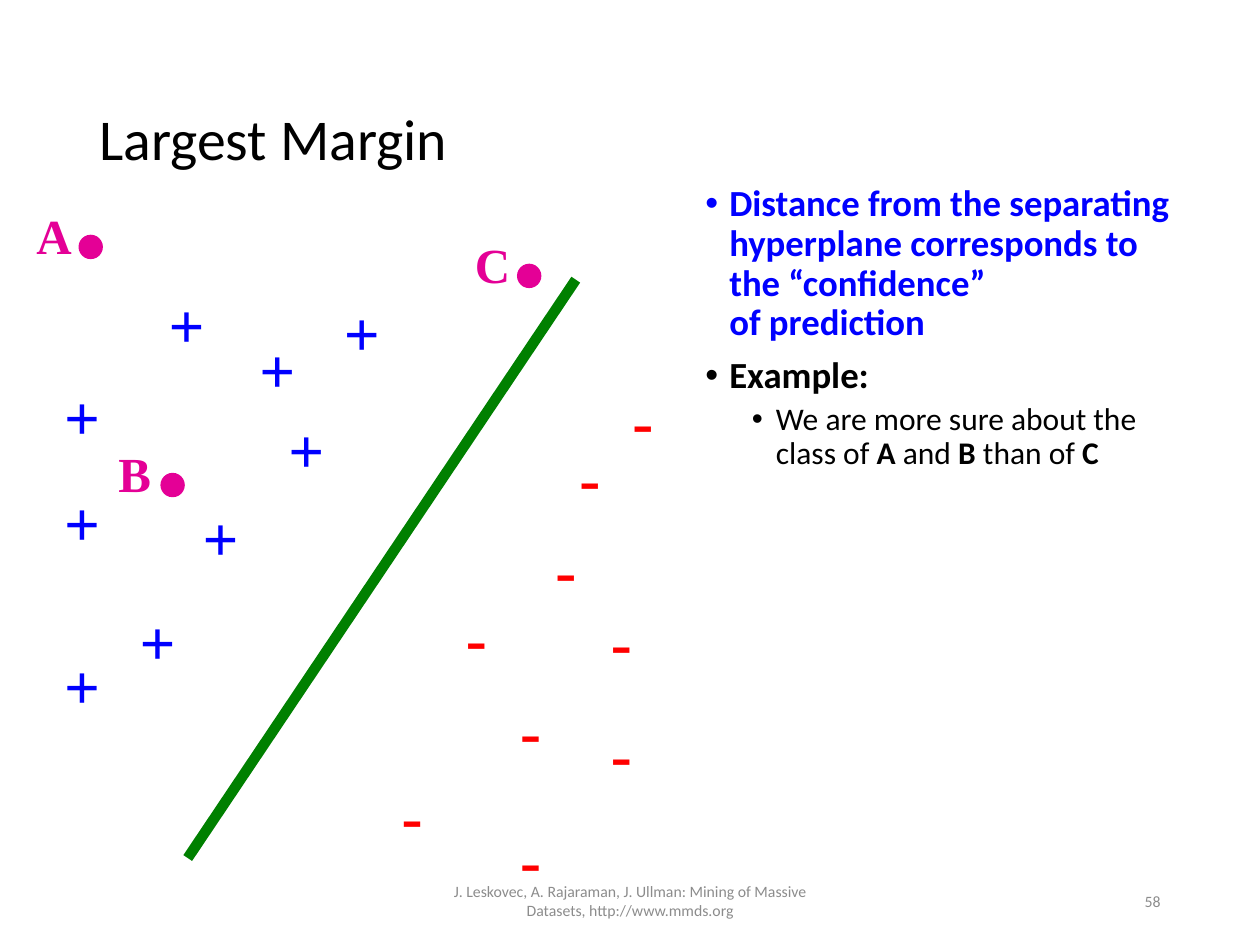
from dataclasses import dataclass

from lxml import etree
from pptx import Presentation
from pptx.dml.color import RGBColor
from pptx.enum.shapes import MSO_CONNECTOR, MSO_SHAPE
from pptx.enum.text import MSO_ANCHOR, MSO_AUTO_SIZE, PP_ALIGN
from pptx.oxml.ns import qn
from pptx.util import Inches, Pt

LINE, OVAL = MSO_CONNECTOR.STRAIGHT, MSO_SHAPE.OVAL
TOP, MIDDLE = MSO_ANCHOR.TOP, MSO_ANCHOR.MIDDLE
LEFT, CENTER, RIGHT = PP_ALIGN.LEFT, PP_ALIGN.CENTER, PP_ALIGN.RIGHT


@dataclass(frozen=True)
class Theme:
    body_font: str = "Calibri"
    mark_font: str = "Times New Roman"
    text: str = "000000"
    positive: str = "0000FF"
    negative: str = "FF0000"
    point: str = "E40096"
    boundary: str = "008000"
    muted: str = "8C8C8C"
    title_size: int = 33
    body_size: int = 21
    sub_size: int = 18
    mark_size: int = 36
    label_size: int = 28
    footer_size: int = 9


THEME = Theme()

# Offsets from the top left of the plot, in inches
BOUNDARY = ((1.49, 5.31), (4.57, 0.72))
POSITIVES = [(1.24, 0.72), (2.63, 0.78), (1.51, 2.41), (2.19, 1.71), (0.41, 3.58),
             (0.41, 2.29), (0.41, 1.45), (1.01, 3.23), (1.96, 1.07)]
NEGATIVES = [(4.5, 1.93), (3.6, 3.2), (4.31, 2.66), (4.03, 3.94), (3.09, 4.61),
             (4.03, 4.96), (4.75, 4.12), (4.75, 3.23), (4.92, 1.48)]
POINTS = {"A": (0.19, 0.08), "B": (0.84, 1.97), "C": (3.67, 0.31)}
DOT_OFFSET, DOT_SIZE = (0.44, 0.29), 0.18


def add_run(p, text, size, color, bold=False, font=THEME.body_font):
    r = p.add_run()
    r.text = text
    r.font.name = font
    r.font.size = Pt(size)
    r.font.bold = bold
    r.font.color.rgb = RGBColor.from_string(color)


def add_box(s, box, anchor=TOP, wrap=True):
    """Add an empty text box and return its text frame."""
    tf = s.shapes.add_textbox(*map(Inches, box)).text_frame
    tf.word_wrap = wrap
    tf.vertical_anchor = anchor
    return tf


def add_mark(s, x, y, width, height, text, size, color):
    tf = add_box(s, (x, y, width, height), wrap=False)
    tf.auto_size = MSO_AUTO_SIZE.SHAPE_TO_FIT_TEXT
    add_run(tf.paragraphs[0], text, size, color, True, THEME.mark_font)


def add_dot(s, x, y):
    color = RGBColor.from_string(THEME.point)
    sp = s.shapes.add_shape(OVAL, *map(Inches, (x, y, DOT_SIZE, DOT_SIZE)))
    sp.shadow.inherit = False
    sp.fill.solid()
    sp.fill.fore_color.rgb = color
    sp.line.color.rgb = color
    sp.line.width = Pt(1)


def add_plot(s, left, top):
    """Draw the boundary, both classes and the three named points."""
    (x1, y1), (x2, y2) = BOUNDARY
    line = s.shapes.add_connector(
        LINE, *map(Inches, (left + x1, top + y1, left + x2, top + y2)))
    line.line.color.rgb = RGBColor.from_string(THEME.boundary)
    line.line.width = Pt(6)
    etree.SubElement(line._element.spPr, qn("a:effectLst"))

    for text, places, width, color in (("+", POSITIVES, 0.45, THEME.positive),
                                       ("-", NEGATIVES, 0.36, THEME.negative)):
        for x, y in places:
            add_mark(s, left + x, top + y, width, 0.71, text, THEME.mark_size, color)

    for name, (x, y) in POINTS.items():
        add_mark(s, left + x, top + y, 0.42, 0.57, name, THEME.label_size, THEME.point)
        add_dot(s, left + x + DOT_OFFSET[0], top + y + DOT_OFFSET[1])


def format_bullet(p, indent, level=0, before=0):
    p.level = level
    p.line_spacing = 0.9
    p.space_before = Pt(before)
    pPr = p._p.get_or_add_pPr()
    pPr.set("marL", str(Inches(indent)))
    pPr.set("indent", str(-Inches(0.19)))
    font = etree.SubElement(pPr, qn("a:buFont"))
    font.set("typeface", "Arial")
    etree.SubElement(pPr, qn("a:buChar")).set("char", "•")


def add_body(s, box):
    tf = add_box(s, box)
    p = tf.paragraphs[0]
    format_bullet(p, 0.19)
    style = (THEME.body_size, THEME.positive, True)
    add_run(p, "Distance from the separating hyperplane corresponds to the “confidence”",
            *style)
    p.add_line_break()
    add_run(p, "of prediction", *style)

    p = tf.add_paragraph()
    format_bullet(p, 0.19, before=7.5)
    add_run(p, "Example:", THEME.body_size, THEME.text, True)

    p = tf.add_paragraph()
    format_bullet(p, 0.56, level=1, before=3.8)
    for text, bold in (("We are more sure about the class of ", False), ("A", True),
                       (" and ", False), ("B ", True), ("than of ", False), ("C", True)):
        add_run(p, text, THEME.sub_size, THEME.text, bold)


def add_line_of_text(s, box, text, size, color, align=LEFT):
    """Add one paragraph, centred vertically in its box."""
    p = add_box(s, box, MIDDLE).paragraphs[0]
    p.alignment = align
    p.line_spacing = 0.9 if size == THEME.title_size else 1.0
    add_run(p, text, size, color)


def add_footer(s, top, height):
    style = (THEME.footer_size, THEME.muted)
    add_line_of_text(s, (3.31, top, 3.38, height),
                     "J. Leskovec, A. Rajaraman, J. Ullman: Mining of Massive Datasets, "
                     "http://www.mmds.org", *style, CENTER)
    add_line_of_text(s, (7.06, top, 2.25, height), "58", *style, RIGHT)


def main():
    prs = Presentation()
    prs.slide_width, prs.slide_height = Inches(10), Inches(7.5)
    s = prs.slides.add_slide(prs.slide_layouts[6])
    add_plot(s, 0, 1.5)
    add_line_of_text(s, (0.69, 0.4, 8.62, 1.45), "Largest Margin",
                     THEME.title_size, THEME.text)
    add_body(s, (5.5, 1.42, 4, 5.75))
    add_footer(s, 6.95, 0.4)
    prs.save("out.pptx")


if __name__ == "__main__":
    main()
